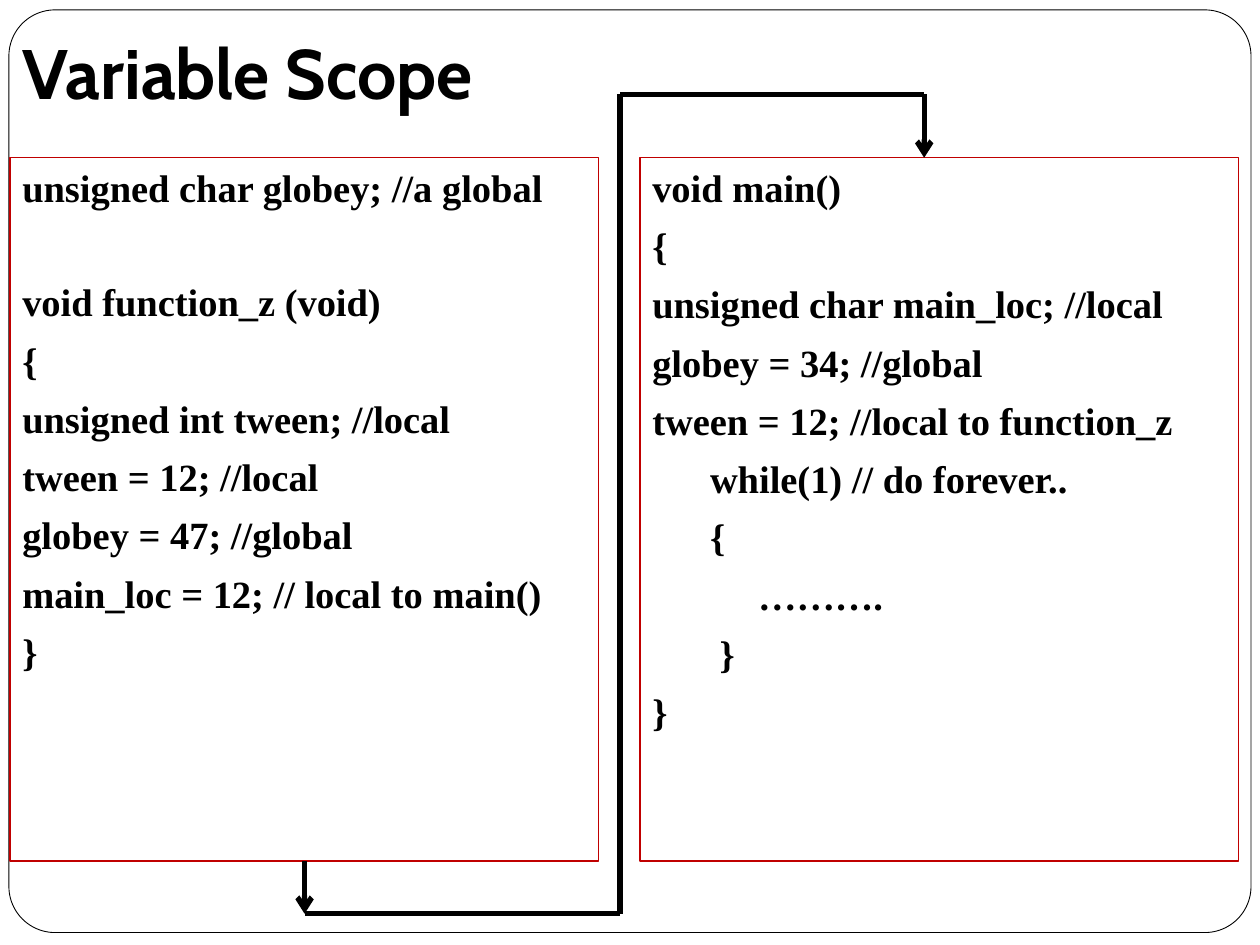
from itertools import pairwise

from lxml.etree import SubElement
from pptx import Presentation
from pptx.dml.color import RGBColor
from pptx.enum.shapes import MSO_CONNECTOR, MSO_SHAPE
from pptx.enum.text import MSO_ANCHOR, PP_ALIGN
from pptx.oxml.ns import qn
from pptx.util import Cm, Pt

# Content: each code line is (text, indent in characters, blank lines before)
HEADING = "Variable Scope"
FUNCTION_CODE = [
    ("unsigned char globey; //a global", 0, 0),
    ("void function_z (void)", 0, 1),
    ("{", 0, 0),
    ("unsigned int tween; //local", 0, 0),
    ("tween = 12; //local", 0, 0),
    ("globey = 47; //global", 0, 0),
    ("main_loc = 12; // local to main()", 0, 0),
    ("}", 0, 0),
]
MAIN_CODE = [
    ("void main()", 0, 0),
    ("{", 0, 0),
    ("unsigned char main_loc; //local", 0, 0),
    ("globey = 34; //global", 0, 0),
    ("tween = 12; //local to function_z", 0, 0),
    ("while(1) // do forever..", 6, 0),
    ("{", 6, 0),
    ("……….", 11, 0),
    ("}", 7, 0),
    ("}", 0, 0),
]
COLORS = {"paper": "FFFFFF", "ink": "000000", "border": "C00000"}

# Layout in centimetres
PANEL_TOP, PANEL_HEIGHT = 3.18, 14.18
PANELS = [(0.2, 11.86, FUNCTION_CODE), (12.9, 12.07, MAIN_CODE)]
ROUTE = [(6.14, 17.36), (6.14, 18.42), (12.5, 18.42),
         (12.5, 1.9), (18.63, 1.9), (18.63, 3.18)]
CODE_SIZE = 22
LINE_GAP = 6.9
LINE_PITCH = 32.2
INDENT_STEP = CODE_SIZE / 4


def color(name):
    return RGBColor.from_string(COLORS[name])


def write(paragraph, text, font_name, size):
    run = paragraph.add_run()
    run.text = text
    run.font.name = font_name
    run.font.size = Pt(size)
    run.font.bold = True
    run.font.color.rgb = color("ink")
    paragraph.alignment = PP_ALIGN.LEFT


def add_box(preset, left, top, width, height, line, weight):
    box = slide.shapes.add_shape(preset, Cm(left), Cm(top), Cm(width), Cm(height))
    box.shadow.inherit = False
    box.line.color.rgb = color(line)
    box.line.width = Pt(weight)
    return box


def add_code(left, width, code):
    panel = add_box(MSO_SHAPE.RECTANGLE, left, PANEL_TOP, width, PANEL_HEIGHT, "border", 0.75)
    panel.fill.background()
    frame = panel.text_frame
    frame.word_wrap = True
    frame.vertical_anchor = MSO_ANCHOR.TOP
    for number, (text, indent, blanks) in enumerate(code):
        paragraph = frame.add_paragraph() if number else frame.paragraphs[0]
        paragraph.space_before = Pt(LINE_GAP + blanks * LINE_PITCH)
        if indent:
            paragraph_props = paragraph._p.get_or_add_pPr()
            paragraph_props.set("marL", str(Pt(indent * INDENT_STEP)))
        write(paragraph, text, "Times New Roman", CODE_SIZE)


def add_segment(start, end):
    segment = slide.shapes.add_connector(
        MSO_CONNECTOR.STRAIGHT, *(Cm(value) for value in start + end))
    segment.line.color.rgb = color("ink")
    segment.line.width = Pt(3)
    if start[0] == end[0] and end[1] > start[1]:  # downward segments carry the arrow
        SubElement(segment.line._get_or_add_ln(), qn("a:tailEnd"), type="arrow")
    SubElement(segment._element.spPr, qn("a:effectLst"))


deck = Presentation()
deck.slide_width, deck.slide_height = Cm(25.4), Cm(19.05)
slide = deck.slides.add_slide(deck.slide_layouts[5])

# Rounded page frame, behind everything
page = add_box(MSO_SHAPE.ROUNDED_RECTANGLE, 0.18, 0.2, 25.04, 18.6, "ink", 0.5)
page.adjustments[0] = 0.05
page.fill.solid()
page.fill.fore_color.rgb = color("paper")
slide.shapes._spTree.insert(2, page._element)

# Title
title = slide.shapes.title
title.left, title.top, title.width, title.height = Cm(0.2), Cm(0.43), Cm(21.6), Cm(2.1)
title.text_frame.vertical_anchor = MSO_ANCHOR.BOTTOM
title.text_frame.margin_bottom = Cm(0.25)
write(title.text_frame.paragraphs[0], HEADING, "Cabin", 40)

# Code panels and the route between them
for left, width, code in PANELS:
    add_code(left, width, code)
for start, end in pairwise(ROUTE):
    add_segment(start, end)

deck.save("out.pptx")
